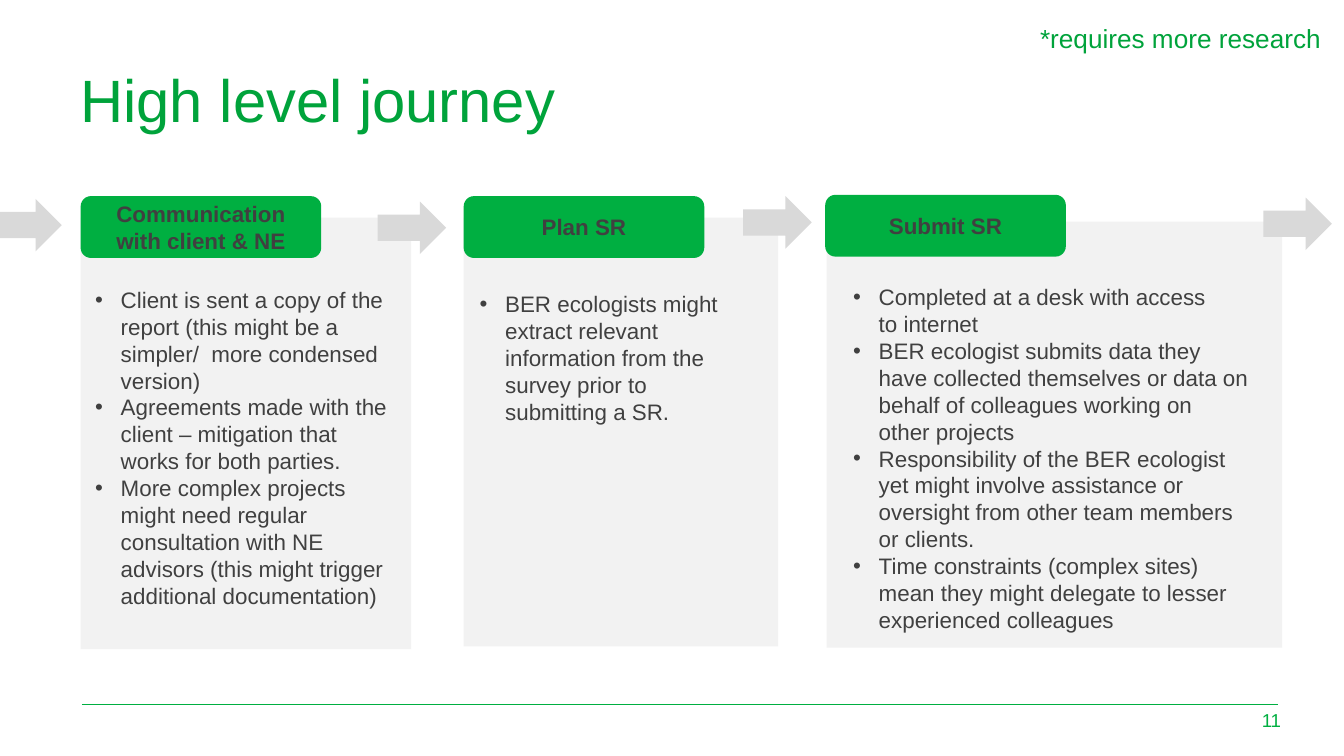
from dataclasses import dataclass

from lxml.etree import SubElement
from pptx import Presentation
from pptx.dml.color import RGBColor
from pptx.enum.shapes import MSO_CONNECTOR, MSO_SHAPE
from pptx.enum.text import MSO_ANCHOR, PP_ALIGN
from pptx.oxml.ns import qn
from pptx.util import Inches, Pt


@dataclass(frozen=True)
class Theme:
    """Colours, type sizes and repeated dimensions of the deck."""
    font: str = "Arial"
    heading: str = "00A33B"
    green: str = "00AF41"
    ink: str = "404040"
    panel: str = "F2F2F2"
    arrow: str = "D9D9D9"
    title_size: int = 32
    note_size: int = 14
    body_size: int = 12
    number_size: int = 10
    indent: float = 0.19
    label_size: tuple = (1.79, 0.46)
    arrow_size: tuple = (0.51, 0.39)


THEME = Theme()
HARD_SPACE = chr(160)

STAGES = [
    {
        "label": "Communication with client & NE",
        "panel_box": (0.6, 1.62, 2.46, 3.21),
        "label_at": (0, -0.16),
        "list_box": (0.01, 0.46, 2.45, 2.73),
        "points": [
            f"Client is sent a copy of the report (this might be a simpler/{HARD_SPACE * 2}more condensed version)",
            "Agreements made with the client – mitigation that works for both parties.",
            "More complex projects might need regular consultation with NE "
            f"advisors{HARD_SPACE}(this might trigger additional documentation)",
        ],
    },
    {
        "label": "Plan SR",
        "panel_box": (3.45, 1.62, 2.34, 3.19),
        "label_at": (0, -0.16),
        "list_box": (0.02, 0.49, 2.22, 2.12),
        "points": [
            "BER ecologists might extract relevant information from the survey prior to submitting a SR.",
        ],
    },
    {
        "label": "Submit SR",
        "panel_box": (6.15, 1.65, 3.39, 3.17),
        "label_at": (-0.01, -0.2),
        "list_box": (0.1, 0.41, 3.14, 2.73),
        "points": [
            f"Completed at a desk with access to{HARD_SPACE}internet",
            "BER ecologist submits data they have collected themselves or data on behalf of colleagues working on other projects",
            "Responsibility of the BER ecologist yet might involve assistance or oversight from other team members or clients.",
            f"Time constraints (complex sites) mean they might{HARD_SPACE}delegate to lesser experienced colleagues",
        ],
    },
]

ARROW_POSITIONS = [(-0.05, 1.48), (2.81, 1.5), (5.53, 1.46), (9.4, 1.47)]


def write_text(frame, lines, size, color, bold=False, anchor=MSO_ANCHOR.TOP, **para_format):
    """Fill a text frame with one styled paragraph per line."""
    frame.word_wrap = True
    frame.vertical_anchor = anchor
    font_format = {"name": THEME.font, "size": Pt(size), "bold": bold}
    for index, line in enumerate(lines):
        para = frame.add_paragraph() if index else frame.paragraphs[0]
        for name, value in para_format.items():
            setattr(para, name, value)
        span = para.add_run()
        span.text = line
        span.font.color.rgb = RGBColor.from_string(color)
        for name, value in font_format.items():
            setattr(span.font, name, value)


def add_text(page, box, lines, size, color, **text_format):
    """Place a text box and return its frame."""
    frame = page.shapes.add_textbox(*map(Inches, box)).text_frame
    write_text(frame, lines, size, color, **text_format)
    return frame


def add_block(page, kind, box, color):
    """Place a flat, borderless preset shape."""
    block = page.shapes.add_shape(kind, *map(Inches, box))
    block.shadow.inherit = False
    block.fill.solid()
    block.fill.fore_color.rgb = RGBColor.from_string(color)
    block.line.fill.background()
    return block


def add_bullets(frame):
    """Give every paragraph a hanging bullet."""
    for para in frame.paragraphs:
        properties = para._p.get_or_add_pPr()
        properties.set("marL", str(Inches(THEME.indent)))
        properties.set("indent", str(-Inches(THEME.indent)))
        SubElement(properties, qn("a:buFont")).set("typeface", THEME.font)
        SubElement(properties, qn("a:buChar")).set("char", "•")


def add_heading(page, box):
    """Draw the title and the research note within the heading box."""
    left, top, width, _ = box
    add_text(page, (left, top + 0.34, 9.04, 0.4), ["High level journey"],
             THEME.title_size, THEME.heading, line_spacing=0.9)
    add_text(page, (left + width - 2.33, top, 2.33, 0.51), ["*requires more research"],
             THEME.note_size, THEME.heading, line_spacing=0.9)


def add_stage(page, box, stage):
    """Draw a stage panel with its label and bullet list."""
    left, top = box[:2]
    add_block(page, MSO_SHAPE.RECTANGLE, box, THEME.panel)
    list_x, list_y, *list_size = stage["list_box"]
    frame = add_text(page, (left + list_x, top + list_y, *list_size),
                     stage["points"], THEME.body_size, THEME.ink)
    add_bullets(frame)
    label_x, label_y = stage["label_at"]
    label = add_block(page, MSO_SHAPE.ROUNDED_RECTANGLE,
                      (left + label_x, top + label_y, *THEME.label_size), THEME.green)
    write_text(label.text_frame, [stage["label"]], THEME.body_size, THEME.ink,
               bold=True, anchor=MSO_ANCHOR.MIDDLE, alignment=PP_ALIGN.CENTER)


def add_footer(page, box):
    """Draw the footer rule and the slide number."""
    left, top, width, height = box
    rule = page.shapes.add_connector(
        MSO_CONNECTOR.STRAIGHT, *map(Inches, (left, top, left + width, top)))
    rule.line.color.rgb = RGBColor.from_string(THEME.green)
    rule.line.width = Pt(0.5)
    SubElement(rule._element.spPr, qn("a:effectLst"))
    add_text(page, (left + width - 0.33, top - 0.03, 0.45, height), ["11"],
             THEME.number_size, THEME.green,
             anchor=MSO_ANCHOR.MIDDLE, alignment=PP_ALIGN.RIGHT)


def add_journey_slide(deck):
    """Build the high level journey slide."""
    page = deck.slides.add_slide(deck.slide_layouts[6])
    add_footer(page, (0.61, 5.24, 8.9, 0.3))
    add_heading(page, (0.5, 0.14, 9.47, 0.74))
    for stage in STAGES:
        add_stage(page, stage["panel_box"], stage)
    for position in ARROW_POSITIONS:
        add_block(page, MSO_SHAPE.RIGHT_ARROW, (*position, *THEME.arrow_size), THEME.arrow)


def main():
    """Create and save the deck."""
    deck = Presentation()
    deck.slide_width = Inches(10)
    deck.slide_height = deck.slide_width * 9 // 16
    add_journey_slide(deck)
    deck.save("out.pptx")


if __name__ == "__main__":
    main()
